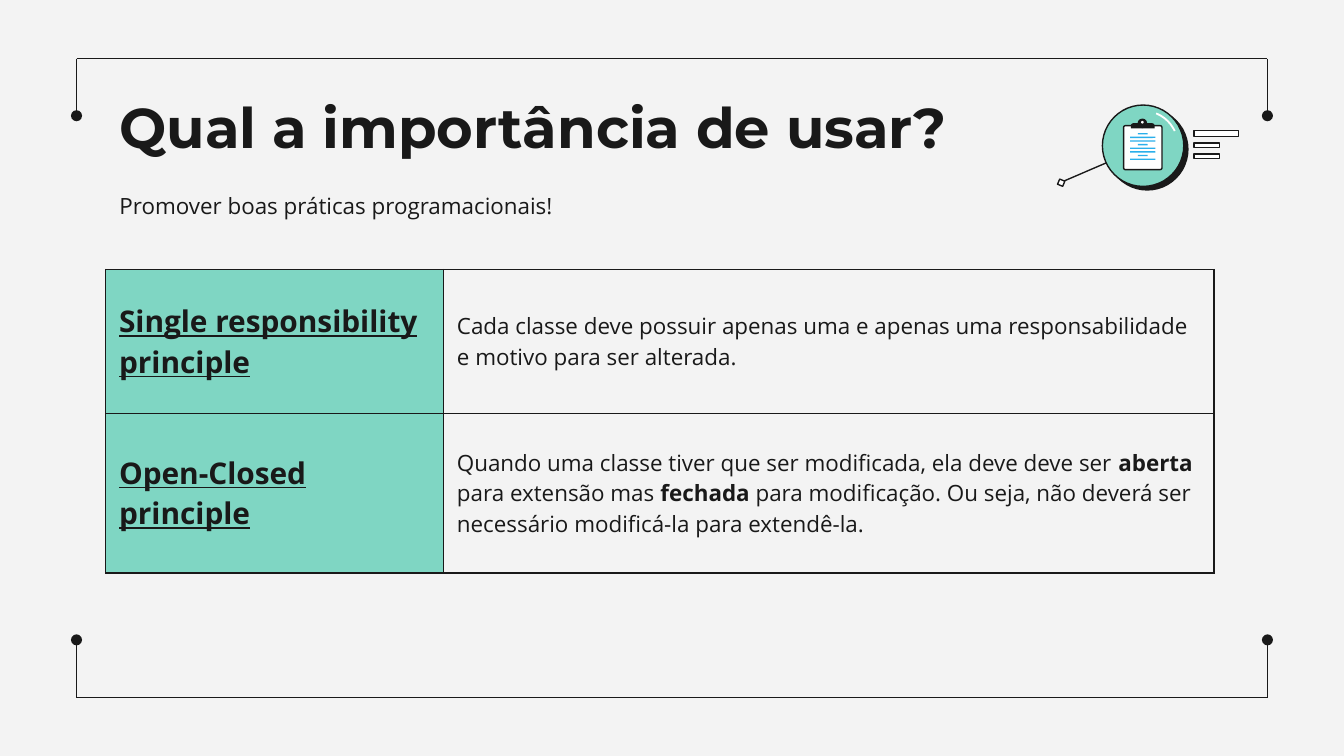
from lxml.etree import SubElement
from pptx import Presentation
from pptx.dml.color import RGBColor
from pptx.enum.shapes import MSO_CONNECTOR, MSO_SHAPE as SHAPE
from pptx.enum.text import MSO_ANCHOR
from pptx.oxml.ns import qn
from pptx.util import Pt

INK = RGBColor(0x19, 0x19, 0x19)
PAPER = RGBColor(0xF3, 0xF3, 0xF3)
MINT = RGBColor(0x7F, 0xD6, 0xC3)
WHITE = RGBColor(0xFF, 0xFF, 0xFF)
BLUE = RGBColor(0x2A, 0xAF, 0xEB)

prs = Presentation()
prs.slide_width, prs.slide_height = Pt(720), Pt(405)
slide = prs.slides.add_slide(prs.slide_layouts[6])
slide.background.fill.solid()
slide.background.fill.fore_color.rgb = PAPER


def add_line(x1, y1, x2, y2, dot=False):
    line = slide.shapes.add_connector(
        MSO_CONNECTOR.STRAIGHT, Pt(x1), Pt(y1), Pt(x2), Pt(y2))
    line.line.color.rgb = INK
    line.line.width = Pt(0.75)
    if dot:
        SubElement(line.line._get_or_add_ln(), qn("a:tailEnd"), type="oval")
    SubElement(line._element.spPr, qn("a:effectLst"))


def add_part(kind, left, top, width, height, fill=None, outline=None, weight=0.75):
    part = slide.shapes.add_shape(kind, Pt(left), Pt(top), Pt(width), Pt(height))
    part.shadow.inherit = False
    if fill is None:
        part.fill.background()
    else:
        part.fill.solid()
        part.fill.fore_color.rgb = fill
    if outline is None:
        part.line.fill.background()
    else:
        part.line.color.rgb = outline
        part.line.width = Pt(weight)
    return part


frame_left, frame_right = 41, 679
for edge, dot_y in ((31.4, 62), (373.7, 342.8)):
    add_line(frame_left, edge, frame_right, edge)
    for side in (frame_left, frame_right):
        add_line(side, edge, side, dot_y, dot=True)

headings = (
    ("Qual a importância de usar?", 42.5, 45.4, "Montserrat", 30, True),
    ("Promover boas práticas programacionais!", 95.8, 31.7, "Open Sans", 12, False),
)
for wording, top, height, font_name, size, bold in headings:
    frame = slide.shapes.add_textbox(Pt(56.9), Pt(top), Pt(607), Pt(height)).text_frame
    frame.word_wrap = True
    frame.margin_left = frame.margin_right = Pt(7.2)
    frame.margin_top = frame.margin_bottom = Pt(7.2)
    heading = frame.paragraphs[0]
    heading.text = wording
    heading.font.name, heading.font.size, heading.font.bold = font_name, Pt(size), bold
    heading.font.color.rgb = INK

principles = (
    ("Single responsibility principle",
     (("Cada classe deve possuir apenas uma e apenas uma responsabilidade "
       "e motivo para ser alterada.", False),)),
    ("Open-Closed principle",
     (("Quando uma classe tiver que ser modificada, ela deve deve ser ", False),
      ("aberta", True),
      (" para extensão mas ", False),
      ("fechada", True),
      (" para modificação. Ou seja, não deverá ser necessário "
       "modificá-la para extendê-la.", False))),
)
table = slide.shapes.add_table(2, 2, Pt(56.6), Pt(144.4), Pt(593.8), Pt(162.6)).table
table.first_row = table.horz_banding = False
table.columns[0].width, table.columns[1].width = Pt(181), Pt(412.8)
table.rows[0].height, table.rows[1].height = Pt(77), Pt(85.6)

for row, (principle, meaning) in enumerate(principles):
    for column, runs in enumerate((((principle, True),), meaning)):
        cell = table.cell(row, column)
        cell.vertical_anchor = MSO_ANCHOR.MIDDLE
        cell.margin_left = cell.margin_right = Pt(7.2)
        cell.margin_top = cell.margin_bottom = 0
        for border in ("a:lnL", "a:lnR", "a:lnT", "a:lnB"):
            ln = SubElement(cell._tc.get_or_add_tcPr(), qn(border), w=str(Pt(0.75)))
            SubElement(SubElement(ln, qn("a:solidFill")), qn("a:srgbClr"), val=str(INK))
        paragraph = cell.text_frame.paragraphs[0]
        for wording, bold in runs:
            run = paragraph.add_run()
            run.text = wording
            run.font.bold = bold
        paragraph.font.name = "Open Sans"
        paragraph.font.color.rgb = INK
        if column == 0:
            cell.fill.solid()
            cell.fill.fore_color.rgb = MINT
            paragraph.font.size = Pt(16)
            paragraph.font.underline = True
        else:
            cell.fill.background()
            paragraph.font.size = Pt(12)
            paragraph.space_after = Pt(16)

for top, width, height in ((70, 24, 3.2), (76.6, 13.8, 2.4), (82.4, 13.8, 2.4)):
    add_part(SHAPE.RECTANGLE, 639.6, top, width, height, WHITE, INK)

add_line(592.6, 87.3, 569.5, 97.2)
grip = add_part(SHAPE.RECTANGLE, 567, 96.4, 3, 3, WHITE, INK)
grip.rotation = 23

lens_x, lens_y, radius = 612.4, 78.1, 21.8
for shift_x, shift_y, fill in ((2.2, 1.9, INK), (0, 0, MINT)):
    add_part(SHAPE.OVAL, lens_x + shift_x - radius, lens_y + shift_y - radius,
             2 * radius, 2 * radius, fill, INK)
glint_radius = 18.7
glint = add_part(SHAPE.ARC, lens_x - glint_radius, lens_y - glint_radius,
                 2 * glint_radius, 2 * glint_radius, outline=WHITE, weight=1)
glint.adjustments[0], glint.adjustments[1] = 292 * 0.6, 335 * 0.6

board = add_part(SHAPE.ROUNDED_RECTANGLE, 601.9, 67.3, 20.6, 23.6, WHITE, INK)
board.adjustments[0] = 0.05
clip = add_part(SHAPE.ROUND_2_SAME_RECTANGLE, 605.8, 66, 12.8, 2.8, INK)
clip.adjustments[0] = 0.5
add_part(SHAPE.OVAL, 609.4, 63.5, 5.2, 5.2, INK)
add_part(SHAPE.OVAL, 611.3, 64.8, 1.4, 1.4, WHITE)

for index in range(8):
    width = 5.2 if index % 3 == 0 else 13.6
    add_part(SHAPE.ROUNDED_RECTANGLE, 612.2 - width / 2, 71.3 + 1.95 * index,
             width, 0.75, BLUE)

prs.save("out.pptx")
